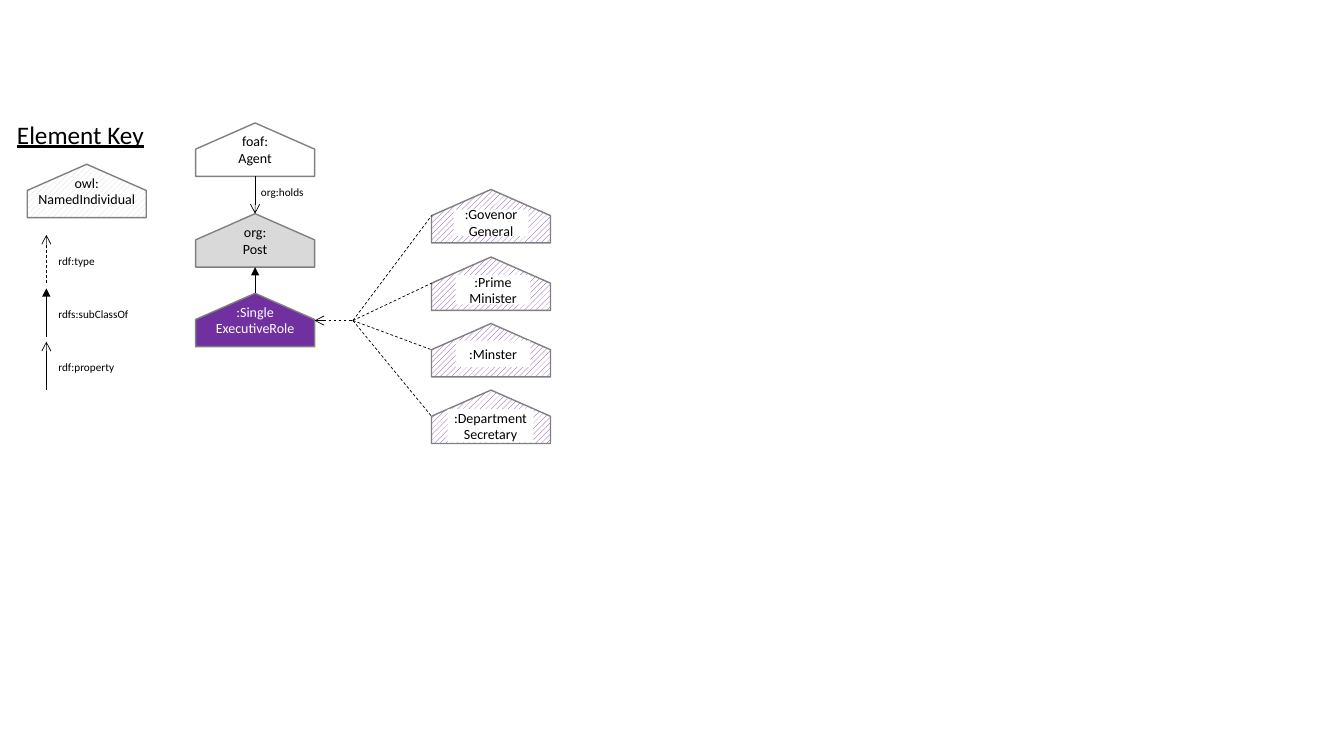
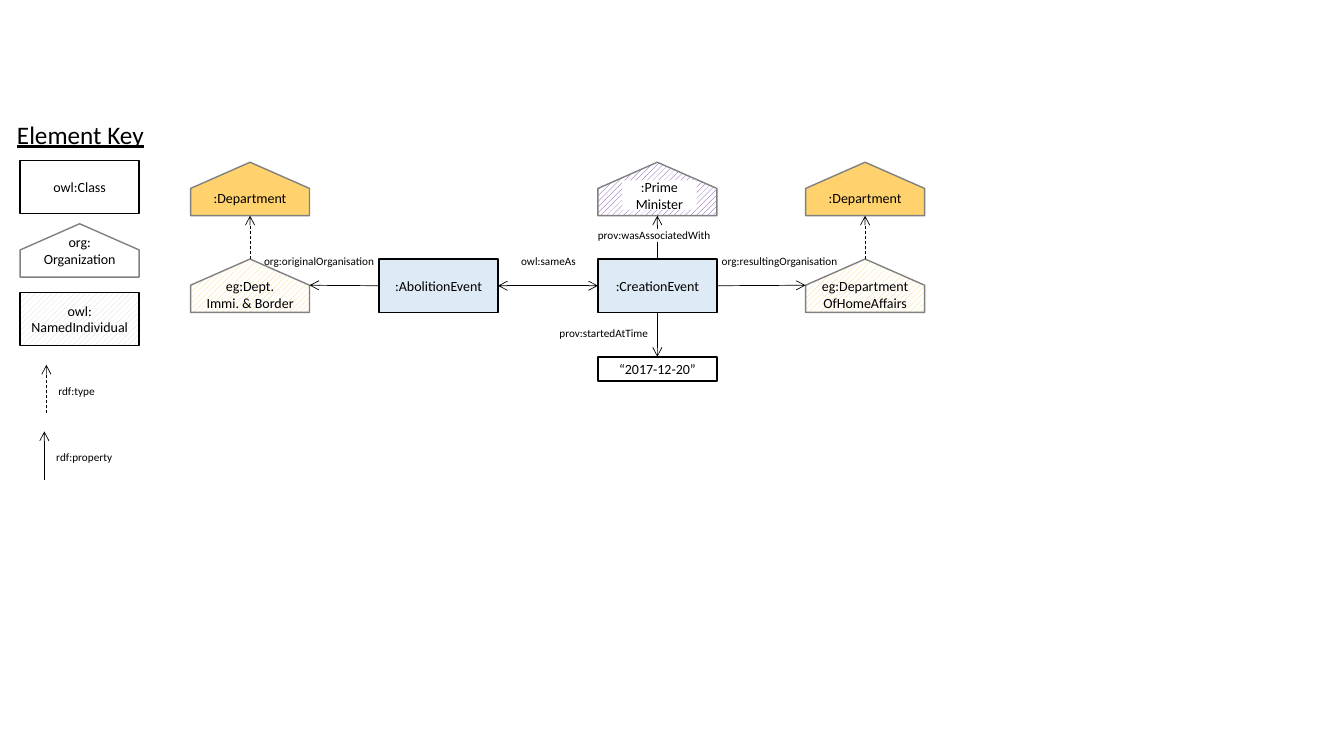
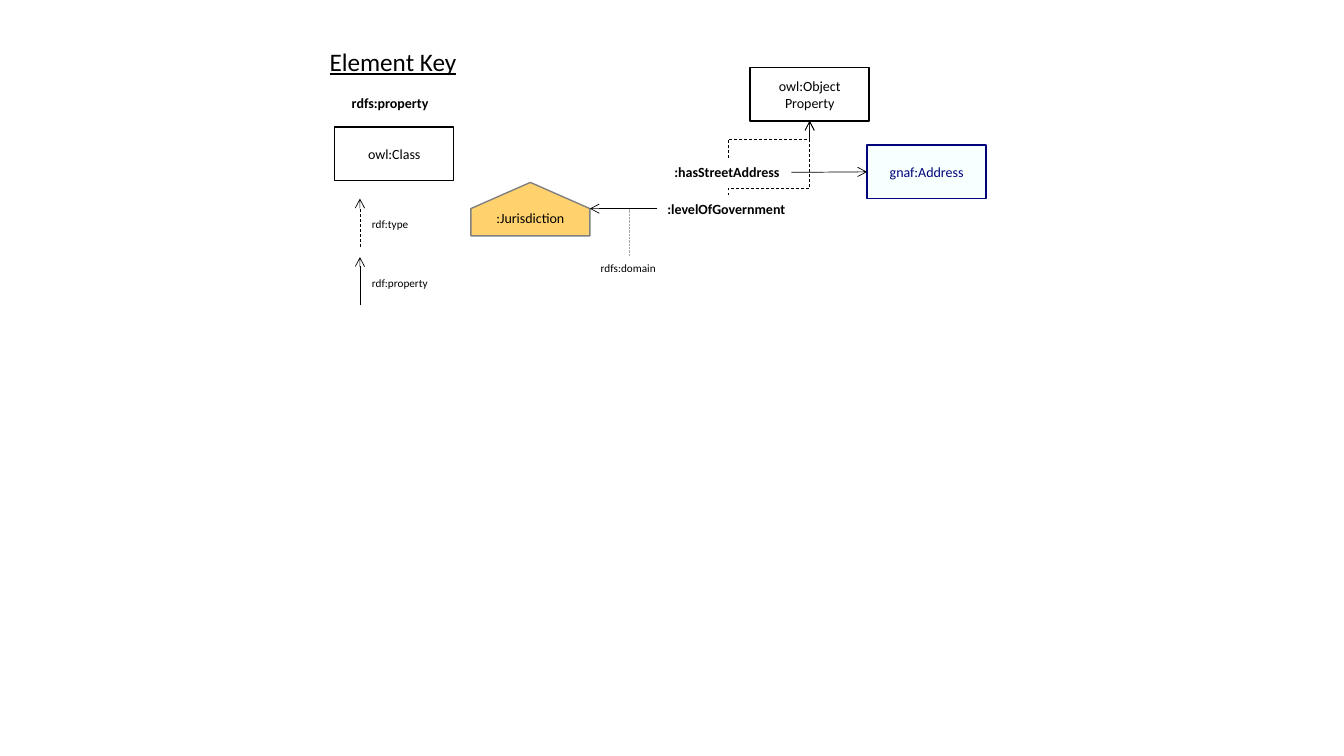
from copy import deepcopy
from dataclasses import dataclass

from lxml import etree
from pptx import Presentation
from pptx import util as u
from pptx.dml.color import RGBColor
from pptx.enum import dml, shapes, text
from pptx.oxml.ns import qn

PX = 9144  # EMU per px: 100 px to the inch
NODE_W, NODE_H = 118, 53
MID_X, MID_Y = NODE_W // 2, NODE_H / 2
SHOULDER = 26
TOP, LEFT, BOTTOM, RIGHT = range(4)
DASH, DOT = dml.MSO_LINE.DASH, dml.MSO_LINE.ROUND_DOT


@dataclass(frozen=True)
class Theme:
    font: str = "Calibri"
    black: str = "000000"
    white: str = "FFFFFF"
    outline: str = "808080"
    grey: str = "D9D9D9"
    faint: str = "A6A6A6"
    purple: str = "7030A0"
    amber: str = "FFD26D"
    event: str = "DEEBF7"
    address: str = "F7FFFF"
    navy: str = "00047C"
    heading: int = 18
    body: int = 10
    small: int = 8


T = Theme()
LABEL_HEIGHT = {T.heading: 40, T.body: 27, T.small: 24}


def px(length):
    return u.Emu(round(length * PX))


def rgb(code):
    return RGBColor.from_string(code)


# --- text and styling ---

def write(frame, words, size, color=T.black, align=None, insets=None,
          bold=None, underline=None):
    """Fill a frame with one paragraph; insets are left, top, right, bottom."""
    if insets is not None:
        (frame.margin_left, frame.margin_top,
         frame.margin_right, frame.margin_bottom) = map(px, insets)
    paragraph = frame.paragraphs[0]
    paragraph.alignment = align
    run = None
    for line in words.split("\n"):
        if run is not None:
            paragraph.add_line_break()
            paragraph._p[-1].append(deepcopy(run._r.rPr))
        run = paragraph.add_run()
        run.text = line
        run.font.name, run.font.size = T.font, u.Pt(size)
        run.font.bold, run.font.underline = bold, underline
        run.font.color.rgb = rgb(color)


def paint(shape, fill, line, hatch=False):
    shape.shadow.inherit = False
    if fill is None:
        shape.fill.background()
    elif hatch:
        shape.fill.patterned()
        shape.fill.pattern = dml.MSO_PATTERN.WIDE_UPWARD_DIAGONAL
        shape.fill.fore_color.rgb = rgb(fill)
        shape.fill.back_color.rgb = rgb(T.white)
    else:
        shape.fill.solid()
        shape.fill.fore_color.rgb = rgb(fill)
    if line is None:
        shape.line.fill.background()
    else:
        shape.line.color.rgb = rgb(line)
        shape.line.width = u.Pt(1)


def write_centred(shape, words, color=T.black, insets=None):
    frame = shape.text_frame
    frame.word_wrap = True
    frame.vertical_anchor = text.MSO_ANCHOR.MIDDLE
    write(frame, words, T.body, color, text.PP_ALIGN.CENTER, insets)


# --- element kinds ---

def label(slide, x, y, w, words, size=T.small, h=None, fill=None, **style):
    box = slide.shapes.add_textbox(px(x), px(y), px(w), px(h or LABEL_HEIGHT[size]))
    if fill:
        box.fill.solid()
        box.fill.fore_color.rgb = rgb(fill)
    box.text_frame.word_wrap = False
    box.text_frame.auto_size = text.MSO_AUTO_SIZE.SHAPE_TO_FIT_TEXT
    write(box.text_frame, words, size, **style)


def box(slide, x, y, words, w=NODE_W, h=NODE_H, fill=T.white, line=T.black,
        hatch=False, color=T.black, insets=None):
    rect = slide.shapes.add_shape(shapes.MSO_SHAPE.RECTANGLE,
                                  px(x), px(y), px(w), px(h))
    paint(rect, fill, line, hatch)
    write_centred(rect, words, color, insets)
    return rect


def house(slide, x, y, words=None, fill=None, hatch=False, color=T.black, low=False):
    """Pentagon node; low text sits beneath the roof."""
    right, eaves, base = x + NODE_W, y + SHOULDER, y + NODE_H
    outline = slide.shapes.build_freeform(px(x + MID_X), px(y))
    outline.add_line_segments([(px(a), px(b)) for a, b in (
        (right, eaves), (right, base), (x, base), (x, eaves))])
    node = outline.convert_to_shape()
    paint(node, fill, T.outline, hatch)
    if words:
        write_centred(node, words, color, (10, 17, 10, 0) if low else None)


def badge(slide, x, y, w, h, words, pad=5):
    box(slide, x, y, words, w, h, line=None, insets=(0, pad, 0, pad))


def link(slide, start, end, dash=None, head=None, tail=None, color=T.black,
         kind=shapes.MSO_CONNECTOR.STRAIGHT, joins=()):
    """Connector; joins holds (rectangle, side) or None for start and end."""
    wire = slide.shapes.add_connector(kind, *map(px, (*start, *end)))
    for join, attach in zip(joins, (wire.begin_connect, wire.end_connect)):
        if join:
            attach(*join)
    wire.line.color.rgb = rgb(color)
    wire.line.width = u.Pt(0.5)
    if dash:
        wire.line.dash_style = dash
    properties = wire._element.spPr
    stroke = properties.find(qn("a:ln"))
    for end_tag, arrowhead in (("a:headEnd", head), ("a:tailEnd", tail)):
        if arrowhead:
            etree.SubElement(stroke, qn(end_tag), type=arrowhead)
    etree.SubElement(properties, qn("a:effectLst"))
    return wire


def elbow(slide, start, end, bend):
    """Dashed arrow that leaves vertically: a quarter-turned bent connector."""
    mid_x, mid_y = (start[0] + end[0]) / 2, (start[1] + end[1]) / 2
    dx, dy = start[0] - mid_x, start[1] - mid_y
    wire = link(slide, (mid_x + dy, mid_y - dx), (mid_x - dy, mid_y + dx),
                DASH, tail="arrow", kind=shapes.MSO_CONNECTOR.ELBOW)
    properties = wire._element.spPr
    properties.find(qn("a:xfrm")).set("rot", "5400000")
    guides = properties.find(qn("a:prstGeom")).get_or_add_avLst()
    etree.SubElement(guides, qn("a:gd"), name="adj1", fmla=f"val {round(bend * 100000)}")


def key_title(slide, x, y):
    label(slide, x, y, 147, "Element Key", T.heading, underline=True)


def key_arrow(slide, x, y, w, words, dash=None, tail="arrow"):
    link(slide, (x, y + 48), (x, y), dash, tail=tail)
    label(slide, x + 2, y + 14, w, words)


# --- slides ---

def executive_roles(slide):
    # Key
    key_title(slide, 7, 113)
    house(slide, 27, 163, "owl:\nNamedIndividual", T.grey, hatch=True)
    key_arrow(slide, 46, 233, 57, "rdf:type", DASH)
    key_arrow(slide, 46, 286, 91, "rdfs:subClassOf", tail="triangle")
    key_arrow(slide, 46, 339, 76, "rdf:property")

    # Class hierarchy
    class_x = 194
    axis = class_x + MID_X
    house(slide, class_x, 122, "foaf:\nAgent")
    house(slide, class_x, 212, "org:\nPost", T.grey)
    house(slide, class_x, 291, ":Single\nExecutiveRole", T.purple, color=T.white)
    link(slide, (axis, 291), (axis, 265), tail="triangle")
    link(slide, (axis, 175), (axis, 212), tail="arrow")
    label(slide, 249, 179, 63, "org:holds")

    # Individual roles fanning out from one hub
    role_x, hub = 428, (350, 318)
    link(slide, (class_x + NODE_W, 318), hub, DASH, head="arrow")
    roles = (
        (188, (450, 208, 74, 26, ":Govenor\nGeneral")),
        (255, (452, 273, 74, 29, ":Prime\nMinister")),
        (321, (452, 338, 74, 26, ":Minster")),
        (387, (444, 406, 85, 33, ":Department\nSecretary", 0)),
    )
    for y, name in roles:
        house(slide, role_x, y, fill=T.purple, hatch=True)
        badge(slide, *name)
        link(slide, hub, (role_x, y + SHOULDER), DASH)


def department_change(slide):
    # Key
    key_title(slide, 7, 113)
    box(slide, 20, 159, "owl:Class")
    house(slide, 20, 222, "org:\nOrganization")
    box(slide, 20, 290, "owl:\nNamedIndividual", fill=T.grey, hatch=True)
    key_arrow(slide, 46, 362, 57, "rdf:type", DASH)
    key_arrow(slide, 44, 428, 76, "rdf:property")

    # Departments and their types
    class_y, row_y = 161, 257
    old_x, abolition_x, creation_x, new_x = 189, 376, 593, 799
    for x, name in ((old_x, "eg:Dept.\nImmi. & Border"),
                    (new_x, "eg:Department\nOfHomeAffairs")):
        house(slide, x, class_y, ":Department", T.amber, low=True)
        house(slide, x, row_y, name, T.amber, hatch=True, low=True)
        link(slide, (x + MID_X, row_y), (x + MID_X, class_y + NODE_H), DASH, tail="arrow")

    # Events
    middle, axis = row_y + MID_Y, creation_x + MID_X
    abolition = box(slide, abolition_x, row_y, ":AbolitionEvent", fill=T.event)
    creation = box(slide, creation_x, row_y, ":CreationEvent", fill=T.event)
    date = box(slide, creation_x, 354, "“2017-12-20”", h=24)
    house(slide, creation_x, class_y, fill=T.purple, hatch=True)
    badge(slide, 617, 179, 74, 29, ":Prime\nMinister")

    # Properties
    link(slide, (abolition_x, middle), (old_x + NODE_W, 283), tail="arrow",
         joins=[(abolition, LEFT)])
    link(slide, (creation_x, middle), (abolition_x + NODE_W, middle),
         head="arrow", tail="arrow", joins=[(creation, LEFT), (abolition, RIGHT)])
    link(slide, (creation_x + NODE_W, middle), (new_x, 283), tail="arrow",
         joins=[(creation, RIGHT)])
    link(slide, (axis, row_y + NODE_H), (axis, 354), tail="arrow",
         joins=[(creation, BOTTOM), (date, TOP)])
    link(slide, (axis, row_y), (axis, class_y + NODE_H), tail="arrow",
         joins=[(creation, TOP)])
    for x, y, w, name in ((252, 247, 131, "org:originalOrganisation"),
                          (507, 247, 75, "owl:sameAs"),
                          (706, 247, 137, "org:resultingOrganisation"),
                          (545, 319, 109, "prov:startedAtTime")):
        label(slide, x, y, w, name)
    label(slide, creation_x, 227, 113, "prov:wasAssociatedWith", h=13,
          fill=T.white, insets=(0, 0, 0, 0))


def property_model(slide):
    # Key
    key_title(slide, 317, 41)
    label(slide, 339, 89, 98, "rdfs:property", T.body, bold=True)
    box(slide, 332, 126, "owl:Class")
    key_arrow(slide, 357, 197, 57, "rdf:type", DASH)
    key_arrow(slide, 357, 255, 76, "rdf:property")

    # Classes
    house(slide, 467, 181, ":Jurisdiction", T.amber, low=True)
    box(slide, 744, 67, "owl:Object\nProperty")
    address = box(slide, 860, 144, "gnaf:Address", fill=T.address,
                  line=T.navy, color=T.navy)

    # Properties
    label(slide, 659, 157, 126, ":hasStreetAddress", T.body, bold=True)
    label(slide, 652, 194, 139, ":levelOfGovernment", T.body, bold=True)
    elbow(slide, (722, 157), (803, 120), 0.5)
    elbow(slide, (722, 194), (803, 120), 0.09)
    link(slide, (785, 171), (860, 171), tail="arrow", joins=[None, (address, LEFT)])
    link(slide, (652, 207), (585, 207), tail="arrow")
    label(slide, 586, 254, 76, "rdfs:domain")
    link(slide, (624, 254), (624, 207), DOT, color=T.faint)


def main():
    deck = Presentation()
    deck.slide_width, deck.slide_height = px(1333), px(750)
    blank = deck.slide_layouts[6]
    for draw in (executive_roles, department_change, property_model):
        draw(deck.slides.add_slide(blank))
    deck.save("out.pptx")


if __name__ == "__main__":
    main()
